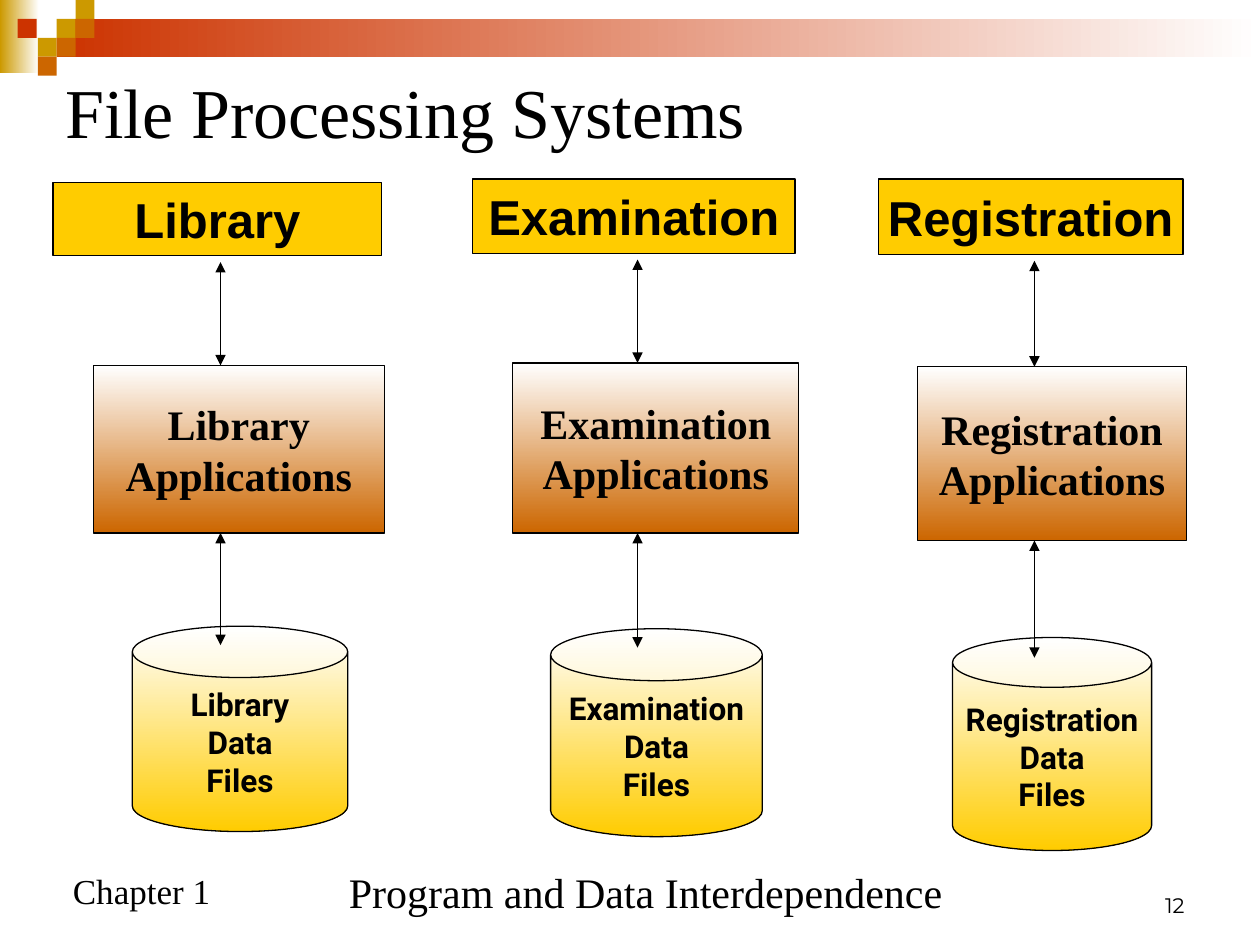
from dataclasses import dataclass

import pptx
import pptx.dml.color
import pptx.enum.shapes
import pptx.enum.text
import pptx.oxml
import pptx.oxml.ns
import pptx.util
from pptx.dml.color import RGBColor
from pptx.enum.shapes import MSO_SHAPE
from pptx.enum.text import MSO_ANCHOR, PP_ALIGN
from pptx.util import Inches

BLACK = RGBColor(0x00, 0x00, 0x00)
WHITE = RGBColor(0xFF, 0xFF, 0xFF)
GOLD = RGBColor(0xCC, 0x99, 0x00)
RED = RGBColor(0xCC, 0x33, 0x00)
ORANGE = RGBColor(0xCC, 0x66, 0x00)
YELLOW = RGBColor(0xFF, 0xCC, 0x00)

SERIF = "Times New Roman"
LINE_WIDTH = 0.75
TILE = 0.15
DOWNWARD = 270
LEFTWARD = 180


@dataclass(frozen=True)
class Box:
    left: float
    top: float
    width: float
    height: float

    @property
    def bottom(self) -> float:
        return self.top + self.height

    def lengths(self) -> tuple:
        return tuple(Inches(n) for n in (self.left, self.top, self.width, self.height))


@dataclass(frozen=True)
class FileSystem:
    """One department: its header, its applications and its data files."""
    name: str
    header: Box
    applications: Box
    files: Box
    arrow_x: float
    upper_arrow_top: float
    lower_arrow_bottom: float


@dataclass(frozen=True)
class Tile:
    left: float
    top: float
    color: RGBColor


SYSTEMS = [
    FileSystem("Registration", Box(6.97, 1.42, 2.42, 0.6), Box(7.28, 2.91, 2.14, 1.38),
               Box(7.56, 5.06, 1.58, 1.69), 8.21, 2.07, 5.22),
    FileSystem("Examination", Box(3.75, 1.42, 2.56, 0.59), Box(4.07, 2.88, 2.27, 1.35),
               Box(4.37, 4.99, 1.68, 1.65), 5.06, 2.06, 5.14),
    FileSystem("Library", Box(0.42, 1.45, 2.61, 0.58), Box(0.74, 2.9, 2.31, 1.33),
               Box(1.05, 4.97, 1.71, 1.63), 1.75, 2.08, 5.12),
]

TILES = [
    Tile(0.45, 0.15, GOLD),
    Tile(0.6, 0, GOLD),
    Tile(0.6, 0.15, ORANGE),
    Tile(0.3, 0.3, GOLD),
    Tile(0.14, 0.15, RED),
    Tile(0.45, 0.3, ORANGE),
    Tile(0.3, 0.45, ORANGE),
]


def write_text(shape, text: str, *, size: float, font: str = SERIF, bold: bool = False,
               align=PP_ALIGN.LEFT, anchor=MSO_ANCHOR.TOP, wrap: bool = False) -> None:
    frame = shape.text_frame
    frame.text = text
    frame.word_wrap = wrap
    frame.vertical_anchor = anchor
    for paragraph in frame.paragraphs:
        paragraph.alignment = align
        paragraph.font.size = pptx.util.Pt(size)
        paragraph.font.name = font
        paragraph.font.bold = bold
        paragraph.font.color.rgb = BLACK


def add_filled_shape(slide, box: Box, color: RGBColor, *, kind=MSO_SHAPE.RECTANGLE,
                     gradient_angle: float | None = None, outlined: bool = False):
    """Fill with a plain colour, or fade from white to it along gradient_angle."""
    shape = slide.shapes.add_shape(kind, *box.lengths())
    shape.shadow.inherit = False
    if gradient_angle is None:
        shape.fill.solid()
        shape.fill.fore_color.rgb = color
    else:
        shape.fill.gradient()
        shape.fill.gradient_angle = gradient_angle
        for stop, stop_color in zip(shape.fill.gradient_stops, (WHITE, color)):
            stop.color.rgb = stop_color
    if outlined:
        shape.line.color.rgb = BLACK
        shape.line.width = pptx.util.Pt(LINE_WIDTH)
    else:
        shape.line.fill.background()
    return shape


def add_double_arrow(slide, x: float, top: float, bottom: float) -> None:
    connector = slide.shapes.add_connector(
        pptx.enum.shapes.MSO_CONNECTOR.STRAIGHT,
        Inches(x), Inches(top), Inches(x), Inches(bottom))
    connector.line.color.rgb = BLACK
    connector.line.width = pptx.util.Pt(LINE_WIDTH)
    line = connector.line._get_or_add_ln()
    for end in ("a:headEnd", "a:tailEnd"):
        arrowhead = pptx.oxml.xmlchemy.OxmlElement(end)
        arrowhead.set("type", "triangle")
        line.append(arrowhead)
    line.addnext(pptx.oxml.xmlchemy.OxmlElement("a:effectLst"))


def add_label(slide, box: Box, text: str, **text_format) -> None:
    write_text(slide.shapes.add_textbox(*box.lengths()), text, **text_format)


def add_banner(slide) -> None:
    add_filled_shape(slide, Box(0, 0, 0.31, 0.58), GOLD, gradient_angle=LEFTWARD)
    add_filled_shape(slide, Box(0.45, 0.15, 9.55, 0.3), RED, gradient_angle=LEFTWARD)
    for tile in TILES:
        add_filled_shape(slide, Box(tile.left, tile.top, TILE, TILE), tile.color)


def add_file_system(slide, system: FileSystem) -> None:
    centered = {"bold": True, "align": PP_ALIGN.CENTER, "anchor": MSO_ANCHOR.MIDDLE}
    applications = add_filled_shape(slide, system.applications, ORANGE,
                                    gradient_angle=DOWNWARD, outlined=True)
    write_text(applications, f"{system.name}\nApplications", size=24, **centered)
    files = add_filled_shape(slide, system.files, YELLOW, kind=MSO_SHAPE.CAN,
                             gradient_angle=DOWNWARD, outlined=True)
    write_text(files, f"{system.name}\nData\nFiles", size=18, font="Roboto", **centered)
    header = add_filled_shape(slide, system.header, YELLOW, outlined=True)
    write_text(header, system.name, size=28, font="Arial", **centered)
    add_double_arrow(slide, system.arrow_x, system.upper_arrow_top, system.applications.top)
    add_double_arrow(slide, system.arrow_x, system.applications.bottom,
                     system.lower_arrow_bottom)


def main() -> None:
    presentation = pptx.Presentation()
    presentation.slide_width = Inches(10)
    presentation.slide_height = Inches(7.5)
    slide = presentation.slides.add_slide(presentation.slide_layouts[6])

    add_banner(slide)
    add_label(slide, Box(0.48, 6.85, 1.29, 0.44), "Chapter 1", size=20)
    add_label(slide, Box(7.17, 6.83, 2.33, 0.5), "12", size=12, font="Montserrat",
              align=PP_ALIGN.RIGHT, anchor=MSO_ANCHOR.BOTTOM, wrap=True)
    for system in SYSTEMS:
        add_file_system(slide, system)
    add_label(slide, Box(0.42, 0.5, 9, 0.75), "File Processing Systems", size=40,
              anchor=MSO_ANCHOR.MIDDLE, wrap=True)
    add_label(slide, Box(2.67, 6.83, 4.91, 0.5), "Program and Data Interdependence", size=24)

    presentation.save("out.pptx")


if __name__ == "__main__":
    main()
